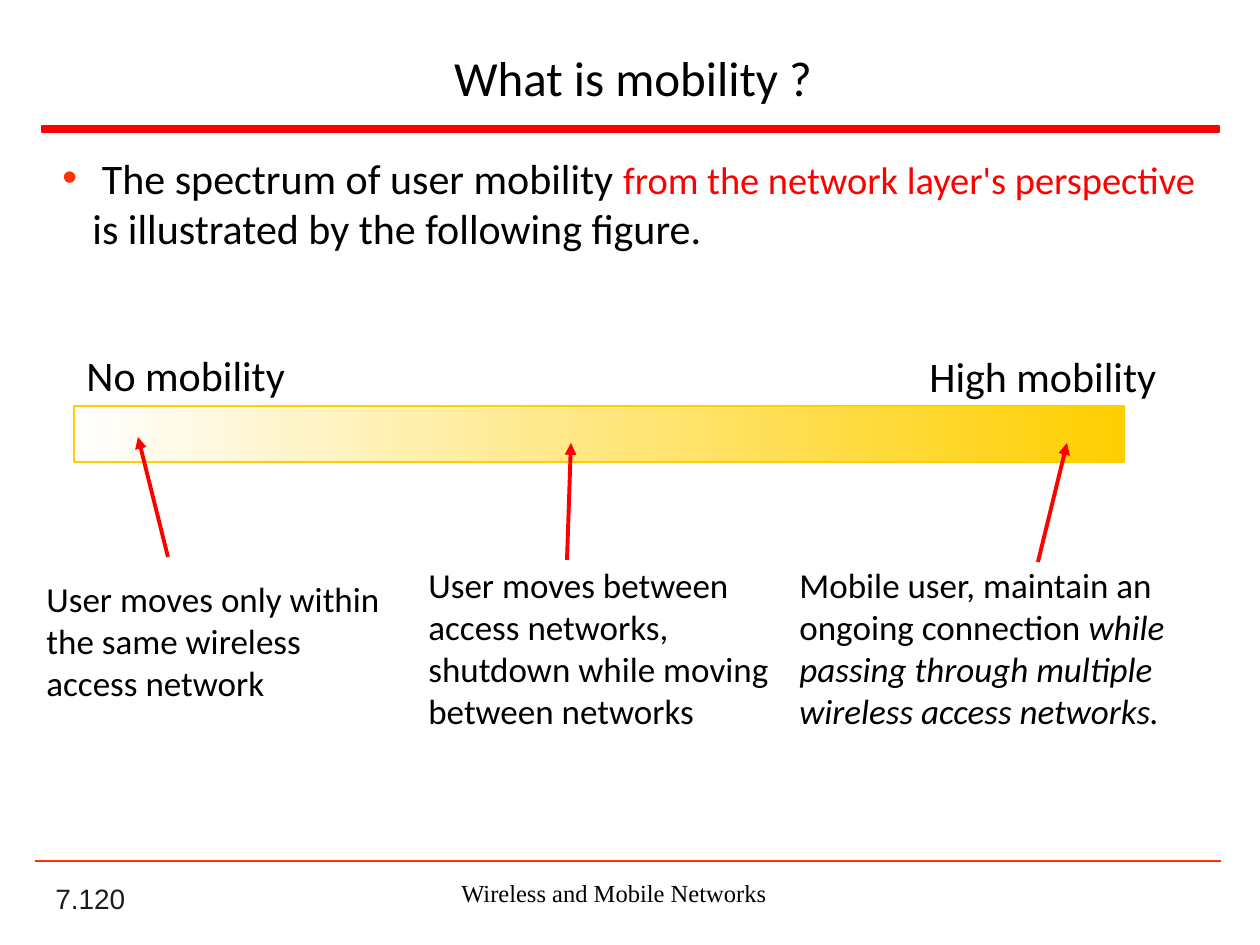
from dataclasses import dataclass

from lxml import etree
from pptx import Presentation
from pptx.dml.color import RGBColor
from pptx.enum.shapes import MSO_CONNECTOR, MSO_SHAPE
from pptx.enum.text import MSO_ANCHOR, PP_ALIGN
from pptx.oxml.ns import qn
from pptx.util import Emu, Pt

EMU_PER_PX = 914400 / 126
TOP, MIDDLE, BOTTOM = MSO_ANCHOR.TOP, MSO_ANCHOR.MIDDLE, MSO_ANCHOR.BOTTOM
LEFT, CENTER = PP_ALIGN.LEFT, PP_ALIGN.CENTER
RECTANGLE = MSO_SHAPE.RECTANGLE
STRAIGHT = MSO_CONNECTOR.STRAIGHT

BLACK, RED, ORANGE, GOLD, WHITE = "000000", "FF0000", "FF3300", "FFCF01", "FFFFFF"


@dataclass
class Span:
    text: str
    size: int
    color: str = BLACK
    font: str = "Calibri"
    italic: bool = False


@dataclass
class Label:
    box: tuple[int, int, int, int]
    spans: list[Span]
    anchor: MSO_ANCHOR = TOP
    align: PP_ALIGN = LEFT
    wrap: bool = True


@dataclass
class Line:
    start: tuple[int, int]
    end: tuple[int, int]
    color: str
    width: float
    arrow: bool = False


LABELS = [
    Label((43, 879, 262, 42), [Span("7.120", 16, "1C1C1C", "Arial")], BOTTOM),
    Label((357, 872, 514, 43),
          [Span("Wireless and Mobile Networks", 14, font="Times New Roman")], align=CENTER),
    Label((74, 343, 243, 64), [Span("No mobility", 24)], wrap=False),
    Label((917, 344, 266, 64), [Span("High mobility", 24)], wrap=False),
    Label((34, 571, 360, 180),
          [Span("User moves only within the same wireless access network", 20)]),
    Label((416, 557, 367, 183),
          [Span("User moves between access networks, shutdown while moving between networks", 20)]),
    Label((787, 557, 426, 180),
          [Span("Mobile user, maintain an ongoing connection ", 20),
           Span("while passing through multiple wireless access networks.", 20, italic=True)]),
]
STATEMENT = Label((50, 142, 1163, 121),
                  [Span(" The spectrum of user mobility ", 24),
                   Span("from the network layer's perspective", 22, RED),
                   Span(" is illustrated by the following figure.", 24)], MIDDLE)
LINES = [
    Line((35, 861), (1221, 861), ORANGE, 1.5),
    Line((168, 557), (138, 437), RED, 2.25, arrow=True),
    Line((567, 560), (571, 443), RED, 2.25, arrow=True),
    Line((1038, 562), (1067, 443), RED, 2.25, arrow=True),
]


def px(value: int) -> Emu:
    return Emu(round(value * EMU_PER_PX))


def rgb(color: str) -> RGBColor:
    return RGBColor.from_string(color)


def format_run(run, span: Span) -> None:
    run.font.name = span.font
    run.font.size = Pt(span.size)
    run.font.italic = span.italic
    run.font.color.rgb = rgb(span.color)


def add_label(page, label: Label):
    box = page.shapes.add_textbox(*map(px, label.box))
    frame = box.text_frame
    frame.word_wrap = label.wrap
    frame.vertical_anchor = label.anchor
    para = frame.paragraphs[0]
    para.alignment = label.align
    for span in label.spans:
        run = para.add_run()
        run.text = span.text
        format_run(run, span)
    return para


def add_bullet(para, color: str, indent: int) -> None:
    properties = para._p.get_or_add_pPr()
    properties.set("marL", str(px(indent)))
    properties.set("indent", str(-px(indent)))
    bullet_color = etree.SubElement(properties, qn("a:buClr"))
    etree.SubElement(bullet_color, qn("a:srgbClr"), val=color)
    etree.SubElement(properties, qn("a:buFont"), typeface="Arial")
    etree.SubElement(properties, qn("a:buChar"), char="•")


def add_bar(page, box: tuple[int, int, int, int], color: str, line_width: float):
    bar = page.shapes.add_shape(RECTANGLE, *map(px, box))
    bar.shadow.inherit = False
    bar.fill.solid()
    bar.fill.fore_color.rgb = rgb(color)
    bar.line.color.rgb = rgb(color)
    bar.line.width = Pt(line_width)
    return bar


def add_line(page, line: Line) -> None:
    connector = page.shapes.add_connector(STRAIGHT, *map(px, line.start + line.end))
    connector.line.color.rgb = rgb(line.color)
    connector.line.width = Pt(line.width)
    if line.arrow:
        outline = connector.line._get_or_add_ln()
        etree.SubElement(outline, qn("a:tailEnd"), type="triangle")
    etree.SubElement(connector._element.spPr, qn("a:effectLst"))


def add_title(page, text: str) -> None:
    title = page.shapes.title
    title.left, title.top, title.width, title.height = map(px, (53, 32, 1160, 89))
    title.text_frame.text = text
    title.text_frame.vertical_anchor = MIDDLE
    para = title.text_frame.paragraphs[0]
    para.alignment = CENTER
    format_run(para.runs[0], Span(text, 28))


def main() -> None:
    deck = Presentation()
    deck.slide_width, deck.slide_height = px(1260), px(945)
    page = deck.slides.add_slide(deck.slide_layouts[5])

    add_title(page, "What is mobility ?")
    add_bar(page, (42, 126, 1177, 6), RED, 1)

    spectrum = add_bar(page, (74, 406, 1050, 56), GOLD, 0.75)
    spectrum.fill.gradient()
    spectrum.fill.gradient_angle = 0
    for stop, color in zip(spectrum.fill.gradient_stops, (WHITE, GOLD)):
        stop.color.rgb = rgb(color)

    for label in LABELS:
        add_label(page, label)
    for line in LINES:
        add_line(page, line)
    add_bullet(add_label(page, STATEMENT), ORANGE, 30)

    deck.save("out.pptx")


if __name__ == "__main__":
    main()
